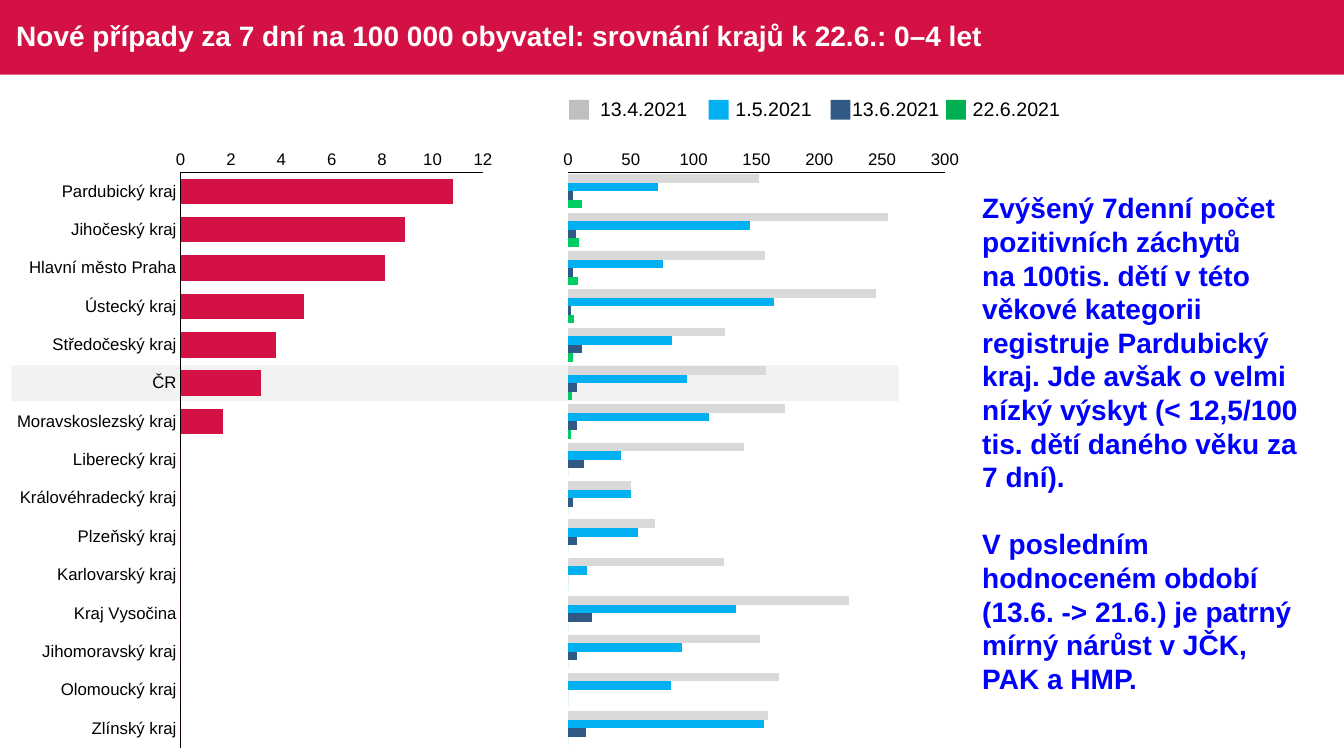
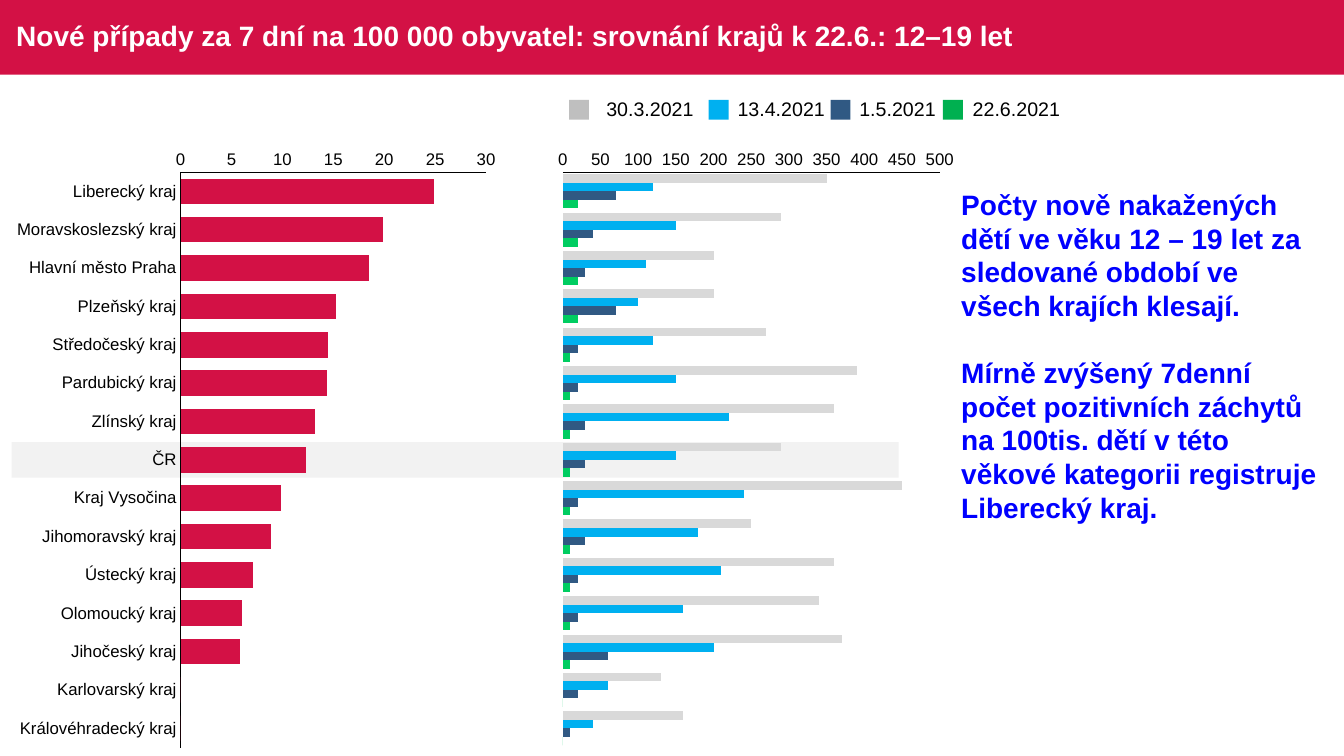
from dataclasses import dataclass

from lxml.etree import SubElement as Sub, Element as Elem
from pptx import Presentation
from pptx.chart.data import CategoryChartData as Data
from pptx.dml.color import RGBColor as Rgb
from pptx.enum.chart import XL_CHART_TYPE as Kind, XL_TICK_MARK as Tick
from pptx.enum.shapes import MSO_SHAPE as Form
from pptx.enum.text import MSO_ANCHOR as Anchor
from pptx.oxml.ns import qn
from pptx.util import Pt

SCALE = 9525  # EMU in one px


@dataclass(frozen=True)
class Theme:
    font: str = "Arial"
    red: str = "D31145"
    white: str = "FFFFFF"
    black: str = "000000"
    note: str = "0000FF"
    stripe: str = "F2F2F2"
    bars: tuple = ("D9D9D9", "00B0F0", "305983", "00CD61")
    keys: tuple = ("BFBFBF", "00B0F0", "305983", "00B050")
    head: int = 20
    key: int = 14
    axis: int = 12


T = Theme()
TOP, TALL = 164, 548  # plot area shared by both charts
CHART_TOP, CHART_TALL = 132, 594


def px(*vals):
    return [round(v * SCALE) for v in vals]


def style(font, size, color, bold=False):
    font.name, font.size, font.bold = T.font, Pt(size), bold
    font.color.rgb = Rgb.from_string(color)


def rect(slide, box, color):
    shape = slide.shapes.add_shape(Form.RECTANGLE, *px(*box))
    shape.shadow.inherit = False
    shape.fill.solid()
    shape.fill.fore_color.rgb = Rgb.from_string(color)
    shape.line.fill.background()


def label(slide, box, paras, size, color, bold=False, wrap=True):
    frame = slide.shapes.add_textbox(*px(*box)).text_frame
    frame.word_wrap = wrap
    for i, text in enumerate(paras):
        para = frame.add_paragraph() if i else frame.paragraphs[0]
        para.text = text
        if i:
            para.space_before = Pt(24)
        style(para.font, size, color, bold)
    return frame


def header(slide, box, text):
    x, y, w, h = box
    rect(slide, box, T.red)
    frame = label(slide, (x + 6, y, w - 127, h), [text], T.head, T.white, True)
    frame.vertical_anchor = Anchor.MIDDLE
    frame.paragraphs[0].line_spacing = 0.9


def legend(slide, box, dates, marks, texts):
    x, y = box
    for date, mark, text, color in zip(dates, marks, texts, T.keys):
        rect(slide, (x + mark, y + 7, 19, 19), color)
        wide = 103 if len(date) == 9 else 92
        label(slide, (x + text, y, wide, 33), [date], T.key, T.black, wrap=False)


def clear(parent):
    """Give a chart part no fill and no outline."""
    props = Elem(qn("c:spPr"))
    Sub(props, qn("a:noFill"))
    Sub(Sub(props, qn("a:ln")), qn("a:noFill"))
    parent(props)


def place(chart, box, plot):
    """Pin the inner plot area to the given box."""
    area = chart._chartSpace.chart.plotArea
    for old in area.findall(qn("c:layout")):
        area.remove(old)
    layout = Elem(qn("c:layout"))
    area.insert(0, layout)
    inner = Sub(layout, qn("c:manualLayout"))
    x, y, w, h = box
    left, top, wide, tall = plot
    parts = [("layoutTarget", "inner"), ("xMode", "edge"), ("yMode", "edge"),
             ("x", (left - x) / w), ("y", (top - y) / h),
             ("w", wide / w), ("h", tall / h)]
    for name, val in parts:
        Sub(inner, qn("c:" + name)).set("val", str(val))
    clear(area.append)
    clear(chart._chartSpace.chart.addnext)


def bars(slide, box, plot, cats, rows, colors, top, step, named):
    data = Data()
    data.categories = cats
    for name, vals in rows:
        data.add_series(name, vals)
    chart = slide.shapes.add_chart(Kind.BAR_CLUSTERED, *px(*box), data).chart
    chart.has_title = chart.has_legend = False
    style(chart.font, T.axis, T.black)
    place(chart, box, plot)
    group = chart.plots[0]
    group.gap_width, group.overlap, group.vary_by_categories = 50, 0, False
    for row, color in zip(group.series, colors):
        row.format.fill.solid()
        row.format.fill.fore_color.rgb = Rgb.from_string(color)
        row.format.line.fill.background()
        row.invert_if_negative = False
    # Axes: first category on top, scale above the bars
    cat, val = chart.category_axis, chart.value_axis
    cat.reverse_order = True
    cat.visible = named
    val.minimum_scale, val.maximum_scale, val.major_unit = 0, top, step
    for axis in (cat, val):
        axis.has_major_gridlines = False
        axis.major_tick_mark = axis.minor_tick_mark = Tick.NONE
        axis.format.line.color.rgb = Rgb.from_string(T.black)
        axis.format.line.width = Pt(0.75)
        style(axis.tick_labels.font, T.axis, T.black)


def stripe(slide, cats):
    """Shade the row of the whole country."""
    mid = TOP + TALL * (cats.index("ČR") + 0.5) / len(cats)
    rect(slide, (11, round(mid) - 17, 845, 34), T.stripe)


def page(deck, info):
    slide = deck.slides.add_slide(deck.slide_layouts[6])
    cats, dates = info["cats"], info["dates"]
    header(slide, (0, 0, 1280, 71), info["title"])
    stripe(slide, cats)
    # Development over four dates
    x = info["trend_x"]
    bars(slide, (x, CHART_TOP, 393, CHART_TALL), (x + 12, TOP, 359, TALL),
         [str(i + 1) for i in range(len(cats))], list(zip(dates, info["trend"])),
         T.bars, *info["trend_axis"], named=False)
    # Latest state by region
    wide = info["now_w"]
    bars(slide, (8, CHART_TOP, wide, CHART_TALL), (172, TOP, wide - 183, TALL),
         cats, [(dates[-1], info["now"])], [T.red], *info["now_axis"], named=True)
    legend(slide, (542, 88), dates, info["marks"], info["texts"])
    label(slide, info["note_box"], info["note"], T.head, T.note, True)


TITLE = "Nové případy za 7 dní na 100 000 obyvatel: srovnání krajů k 22.6.: "

PAGES = [
    dict(
        title=TITLE + "0–4 let",
        cats=["Pardubický kraj", "Jihočeský kraj", "Hlavní město Praha",
              "Ústecký kraj", "Středočeský kraj", "ČR", "Moravskoslezský kraj",
              "Liberecký kraj", "Královéhradecký kraj", "Plzeňský kraj",
              "Karlovarský kraj", "Kraj Vysočina", "Jihomoravský kraj",
              "Olomoucký kraj", "Zlínský kraj"],
        now=[10.8, 8.9, 8.1, 4.9, 3.8, 3.2, 1.7] + [0] * 8,
        now_axis=(12, 2), now_w=471,
        trend=[
            [152, 255, 157, 245, 125, 158, 173, 140, 50, 69, 124, 224, 153, 168, 159],
            [72, 145, 76, 164, 83, 95, 112, 42, 50, 56, 15, 134, 91, 82, 156],
            [4, 6, 4, 2, 11, 7, 7, 13, 4, 7, 0, 19, 7, 0, 14],
            [11, 9, 8, 5, 4, 3, 2] + [0] * 8],
        trend_axis=(300, 50), trend_x=529,
        dates=["13.4.2021", "1.5.2021", "13.6.2021", "22.6.2021"],
        marks=(0, 133, 249, 359), texts=(20, 149, 260, 375),
        note_box=(926, 177, 321, 494),
        note=["Zvýšený 7denní počet pozitivních záchytů\nna 100tis. dětí v této "
              "věkové kategorii registruje Pardubický kraj. Jde avšak o velmi "
              "nízký výskyt (< 12,5/100 tis. dětí daného věku za 7 dní).",
              "V posledním hodnoceném období (13.6. -> 21.6.) je patrný mírný "
              "nárůst v JČK, PAK a HMP."]),
    dict(
        title=TITLE + "12–19 let",
        cats=["Liberecký kraj", "Moravskoslezský kraj", "Hlavní město Praha",
              "Plzeňský kraj", "Středočeský kraj", "Pardubický kraj",
              "Zlínský kraj", "ČR", "Kraj Vysočina", "Jihomoravský kraj",
              "Ústecký kraj", "Olomoucký kraj", "Jihočeský kraj",
              "Karlovarský kraj", "Královéhradecký kraj"],
        now=[24.9, 19.9, 18.5, 15.3, 14.5, 14.4, 13.2, 12.3, 9.9, 8.9, 7.1, 6,
             5.8, 0, 0],
        now_axis=(30, 5), now_w=474,
        trend=[
            [350, 290, 200, 200, 270, 390, 360, 290, 450, 250, 360, 340, 370, 130, 160],
            [120, 150, 110, 100, 120, 150, 220, 150, 240, 180, 210, 160, 200, 60, 40],
            [70, 40, 30, 70, 20, 20, 30, 30, 20, 30, 20, 20, 60, 20, 10],
            [20] * 4 + [10] * 9 + [0] * 2],
        trend_axis=(500, 50), trend_x=524,
        dates=["30.3.2021", "13.4.2021", "1.5.2021", "22.6.2021"],
        marks=(0, 133, 249, 356), texts=(26, 151, 267, 375),
        note_box=(906, 174, 360, 333),
        note=["Počty nově nakažených dětí ve věku 12 – 19 let za sledované období "
              "ve všech krajích klesají.",
              "Mírně zvýšený 7denní počet pozitivních záchytů\nna 100tis. dětí "
              "v této věkové kategorii registruje Liberecký kraj."]),
]


def main():
    deck = Presentation()
    deck.slide_width, deck.slide_height = px(1280, 720)
    for info in PAGES:
        page(deck, info)
    deck.save("out.pptx")


if __name__ == "__main__":
    main()
